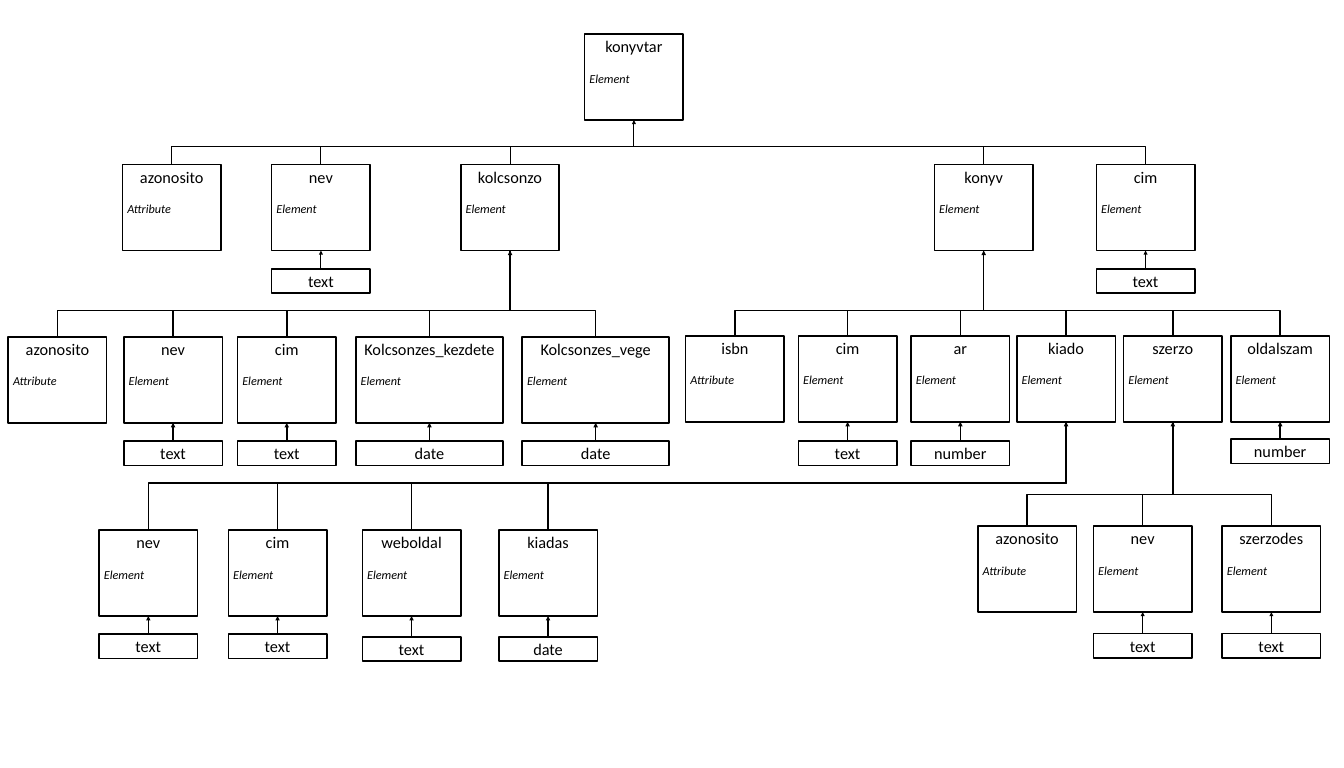
import dataclasses

import pptx
import pptx.dml.color
import pptx.enum.shapes
import pptx.enum.text
import pptx.oxml
import pptx.oxml.ns
import pptx.util

Cm = pptx.util.Cm
Pt = pptx.util.Pt
BLACK = "000000"
BOX_HEIGHT = 4.47
VALUE_HEIGHT = 1.27


@dataclasses.dataclass
class Node:
    """One schema node, with its left edge, its value type and the gap to that value, in cm."""
    name: str
    left: float
    value: str = ""
    gap: float = 0.95
    kind: str = "Element"
    width: float = 5.13


LIBRARY = [
    Node("azonosito", 6.38, kind="Attribute"),
    Node("nev", 14.15, "text"),
    Node("kolcsonzo", 24),
    Node("konyv", 48.67),
    Node("cim", 57.1, "text"),
]
BORROWER = [
    Node("azonosito", 0.43, kind="Attribute"),
    Node("nev", 6.45, "text"),
    Node("cim", 12.37, "text"),
    Node("Kolcsonzes_kezdete", 18.54, "date", width=7.65),
    Node("Kolcsonzes_vege", 27.2, "date", width=7.65),
]
BOOK = [
    Node("isbn", 35.71, kind="Attribute"),
    Node("cim", 41.58, "text", 1),
    Node("ar", 47.45, "number", 1),
    Node("kiado", 52.96),
    Node("szerzo", 58.52),
    Node("oldalszam", 64.11, "number", 0.9),
]
PUBLISHER = [
    Node("nev", 5.16, "text"),
    Node("cim", 11.89, "text"),
    Node("weboldal", 18.87, "text", 1.09),
    Node("kiadas", 25.98, "date", 1.09),
]
AUTHOR = [
    Node("azonosito", 50.93, kind="Attribute"),
    Node("nev", 56.95, "text", 1.12),
    Node("szerzodes", 63.65, "text", 1.12),
]


def color(value):
    """Turn a hex string into a colour."""
    return pptx.dml.color.RGBColor.from_string(value)


def write(para, text, size=24, italic=False, align="CENTER", before=0):
    """Write formatted text into a paragraph."""
    para.alignment = getattr(pptx.enum.text.PP_ALIGN, align)
    para.space_before = Pt(before)
    span = para.add_run()
    span.text = text
    span.font.name = "Calibri"
    span.font.size = Pt(size)
    span.font.italic = italic
    span.font.color.rgb = color(BLACK)


def add_box(slide, left, top, width, height, title):
    """Draw an outlined rectangle with a centred title at its top."""
    box = slide.shapes.add_shape(
        pptx.enum.shapes.MSO_SHAPE.RECTANGLE, left, top, width, height)
    box.shadow.inherit = False
    box.fill.background()
    box.line.color.rgb = color(BLACK)
    box.line.width = Pt(2.25)
    box.text_frame.word_wrap = True
    box.text_frame.vertical_anchor = pptx.enum.text.MSO_ANCHOR.TOP
    write(box.text_frame.paragraphs[0], title)
    return box


def style_line(line, weight, arrow):
    """Colour a connector, remove its shadow and set an arrowhead at its start."""
    line.line.color.rgb = color(BLACK)
    line.line.width = Pt(weight)
    properties = line.element.spPr
    if arrow:
        head = pptx.oxml.parse_xml(
            f'<a:headEnd {pptx.oxml.ns.nsdecls("a")} type="triangle"/>')
        line.line._get_or_add_ln().append(head)
    properties.append(pptx.oxml.parse_xml(
        f'<a:effectLst {pptx.oxml.ns.nsdecls("a")}/>'))


def add_branch(slide, parent, child, drop, weight, arrow):
    """Join a parent's bottom to a child's top, turning at the given height above the child."""
    start_x, start_y = parent.left + parent.width // 2, parent.top + parent.height
    end_x, end_y = child.left + child.width // 2, child.top
    length, span = end_y - start_y, abs(end_x - start_x)
    left = (start_x + end_x - length) // 2
    top = (start_y + end_y - span) // 2
    line = slide.shapes.add_connector(
        pptx.enum.shapes.MSO_CONNECTOR.ELBOW, left, top, left + length, top + span)
    frame = line.element.spPr.find(pptx.oxml.ns.qn("a:xfrm"))
    if end_x < start_x:
        frame.set("rot", "5400000")
    else:
        frame.set("rot", "16200000")
        frame.set("flipH", "1")
    turn = round(100000 * (length - drop) / length)
    guides = line.element.spPr.find(".//" + pptx.oxml.ns.qn("a:avLst"))
    guides.append(pptx.oxml.parse_xml(
        f'<a:gd {pptx.oxml.ns.nsdecls("a")} name="adj1" fmla="val {turn}"/>'))
    style_line(line, weight, arrow)


def add_node(slide, node, top, weight=2.25):
    """Draw a node with its kind and, below it, its value type."""
    box = add_box(slide, Cm(node.left), top, Cm(node.width), Cm(BOX_HEIGHT), node.name)
    write(box.text_frame.add_paragraph(), node.kind,
          size=18, italic=True, align="LEFT", before=22)
    if node.value:
        bottom, middle = box.top + box.height, box.left + box.width // 2
        value = add_box(slide, box.left, bottom + Cm(node.gap),
                        box.width, Cm(VALUE_HEIGHT), node.value)
        line = slide.shapes.add_connector(
            pptx.enum.shapes.MSO_CONNECTOR.STRAIGHT, middle, bottom, middle, value.top)
        style_line(line, weight, True)
    return box


def add_family(slide, parent, nodes, distance, drop, weight=2.25, value_weight=2.25):
    """Draw the children below a parent box and return their boxes by name."""
    top = parent.top + parent.height + Cm(distance)
    boxes = {}
    for index, node in enumerate(nodes):
        boxes[node.name] = add_node(slide, node, top, value_weight)
        add_branch(slide, parent, boxes[node.name], Cm(drop), weight, index == 0)
    return boxes


def main():
    """Build the library schema tree and save it."""
    deck = pptx.Presentation()
    deck.slide_width, deck.slide_height = Cm(70), Cm(40)
    page = deck.slides.add_slide(deck.slide_layouts[6])
    root = add_node(page, Node("konyvtar", 30.45), Cm(1.78))
    library = add_family(page, root, LIBRARY, 2.33, 0.93, 1.5, 1.5)
    add_family(page, library["kolcsonzo"], BORROWER, 4.5, 1.37)
    book = add_family(page, library["konyv"], BOOK, 4.45, 1.32)
    add_family(page, book["kiado"], PUBLISHER, 5.64, 2.46)
    add_family(page, book["szerzo"], AUTHOR, 5.44, 1.65, value_weight=1.5)
    deck.save("out.pptx")


if __name__ == "__main__":
    main()
